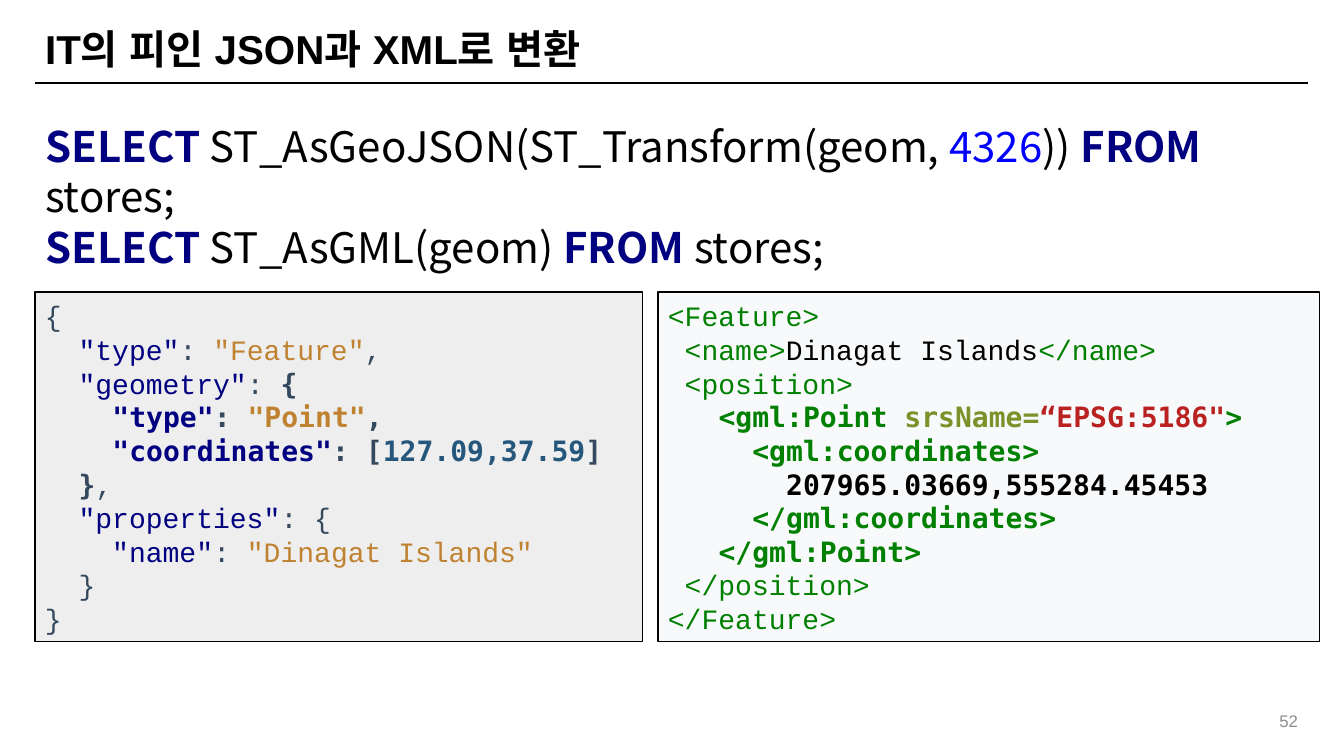
from pptx import Presentation
from pptx.dml.color import RGBColor
from pptx.enum.shapes import MSO_CONNECTOR, MSO_SHAPE
from pptx.enum.text import MSO_ANCHOR, MSO_AUTO_SIZE, PP_ALIGN
from pptx.oxml.ns import qn
from pptx.util import Pt
from lxml import etree

LEFT, RIGHT = PP_ALIGN.LEFT, PP_ALIGN.RIGHT
MIDDLE = MSO_ANCHOR.MIDDLE
FIXED = MSO_AUTO_SIZE.NONE
RECT = MSO_SHAPE.RECTANGLE
STRAIGHT = MSO_CONNECTOR.STRAIGHT
SCALE = 914400 / 100.8
SANS, MONO, BOLD, NOTO = "Arial", "Courier New", "DejaVu Sans Mono", "Noto Sans CJK KR"
COLORS = {
    "black": "000000", "white": "FFFFFF", "gray": "8C8C8C", "navy": "000080",
    "blue": "0000FF", "slate": "34495E", "gold": "BF8230", "steel": "25567B",
    "green": "008000", "olive": "7D9029", "red": "BA2121",
    "json": "EEEEEE", "xml": "F8F9FA",
}


def px(*sizes):
    return [round(size * SCALE) for size in sizes]


def write(shape, lines, size, font, strong, pitch, align=LEFT):
    frame = shape.text_frame
    frame.word_wrap = True
    frame.auto_size = FIXED
    frame.vertical_anchor = MIDDLE
    frame.text = "\n".join("" for line in lines)
    for para, line in zip(frame.paragraphs, lines):
        para.alignment = align
        para.line_spacing = pitch
        para.space_before = para.space_after = Pt(0)
        for style, text in line:
            run = para.add_run()
            run.text = text
            run.font.size = Pt(size)
            run.font.bold = style.endswith("*")
            run.font.name = strong if run.font.bold else font
            run.font.color.rgb = RGBColor.from_string(COLORS[style.strip("*")])
            asian = etree.SubElement(run.font._element, qn("a:ea"))
            asian.set("typeface", run.font.name)


deck = Presentation()
deck.slide_width, deck.slide_height = px(1344, 756)
slide = deck.slides.add_slide(deck.slide_layouts[1])
shapes = slide.shapes

rule = shapes.add_connector(STRAIGHT, *px(35, 83, 1308, 83))
rule.line.color.rgb = RGBColor.from_string(COLORS["black"])
rule.line.width = Pt(1.5)
etree.SubElement(rule._element.spPr, qn("a:effectLst"))

title = shapes.title
title.left, title.top, title.width, title.height = px(35, 26, 1272, 50)
write(title, [[("black*", "IT의 피인 JSON과 XML로 변환")]], 28.8, SANS, SANS, 0.9)

query = [
    [("navy*", "SELECT "), ("black", "ST_AsGeoJSON(ST_Transform(geom, "), ("blue", "4326"),
     ("black", ")) "), ("navy*", "FROM "), ("black", "stores;")],
    [("navy*", "SELECT "), ("black", "ST_AsGML(geom) "), ("navy*", "FROM "),
     ("black", "stores;")],
]
body = slide.placeholders[1]
body.left, body.top, body.width, body.height = px(35, 114, 1246, 164)
body.fill.solid()
body.fill.fore_color.rgb = RGBColor.from_string(COLORS["white"])
write(body, query, 30, NOTO, NOTO, Pt(36))
for para in body.text_frame.paragraphs:
    props = para._p.get_or_add_pPr()
    props.set("marL", "0")
    props.set("indent", "0")
    etree.SubElement(props, qn("a:buNone"))

json = [
    [("slate", "{")],
    [("navy", '  "type"'), ("slate", ": "), ("gold", '"Feature"'), ("slate", ",")],
    [("navy", '  "geometry"'), ("slate", ": "), ("slate*", "{")],
    [("navy*", '    "type"'), ("slate*", ": "), ("gold*", '"Point"'), ("slate*", ",")],
    [("navy*", '    "coordinates"'), ("slate*", ": ["), ("steel*", "127.09,37.59"),
     ("slate*", "]")],
    [("slate*", "  }"), ("slate", ",")],
    [("navy", '  "properties"'), ("slate", ": {")],
    [("navy", '    "name"'), ("slate", ": "), ("gold", '"Dinagat Islands"')],
    [("slate", "  }")],
    [("slate", "}")],
]
xml = [
    [("green", "<Feature>")],
    [("green", " <name>"), ("black", "Dinagat Islands"), ("green", "</name>")],
    [("green", " <position>")],
    [("green*", "   <gml:Point "), ("olive*", "srsName="), ("red*", '“EPSG:5186"'),
     ("green*", ">")],
    [("green*", "     <gml:coordinates>")],
    [("black*", "       207965.03669,555284.45453")],
    [("green*", "     </gml:coordinates>")],
    [("green*", "   </gml:Point>")],
    [("green", " </position>")],
    [("green", "</Feature>")],
]
for left, width, tint, code in [(35, 608, "json", json), (658, 662, "xml", xml)]:
    panel = shapes.add_shape(RECT, *px(left, 292, width, 350))
    panel.shadow.inherit = False
    panel.fill.solid()
    panel.fill.fore_color.rgb = RGBColor.from_string(COLORS[tint])
    panel.line.color.rgb = RGBColor.from_string(COLORS["black"])
    panel.line.width = Pt(0.75)
    write(panel, code, 20, MONO, BOLD, Pt(24))

number = shapes.add_textbox(*px(1006, 701, 302, 40))
write(number, [[("gray", "52")]], 12, SANS, SANS, 1.0, RIGHT)

deck.save("out.pptx")
